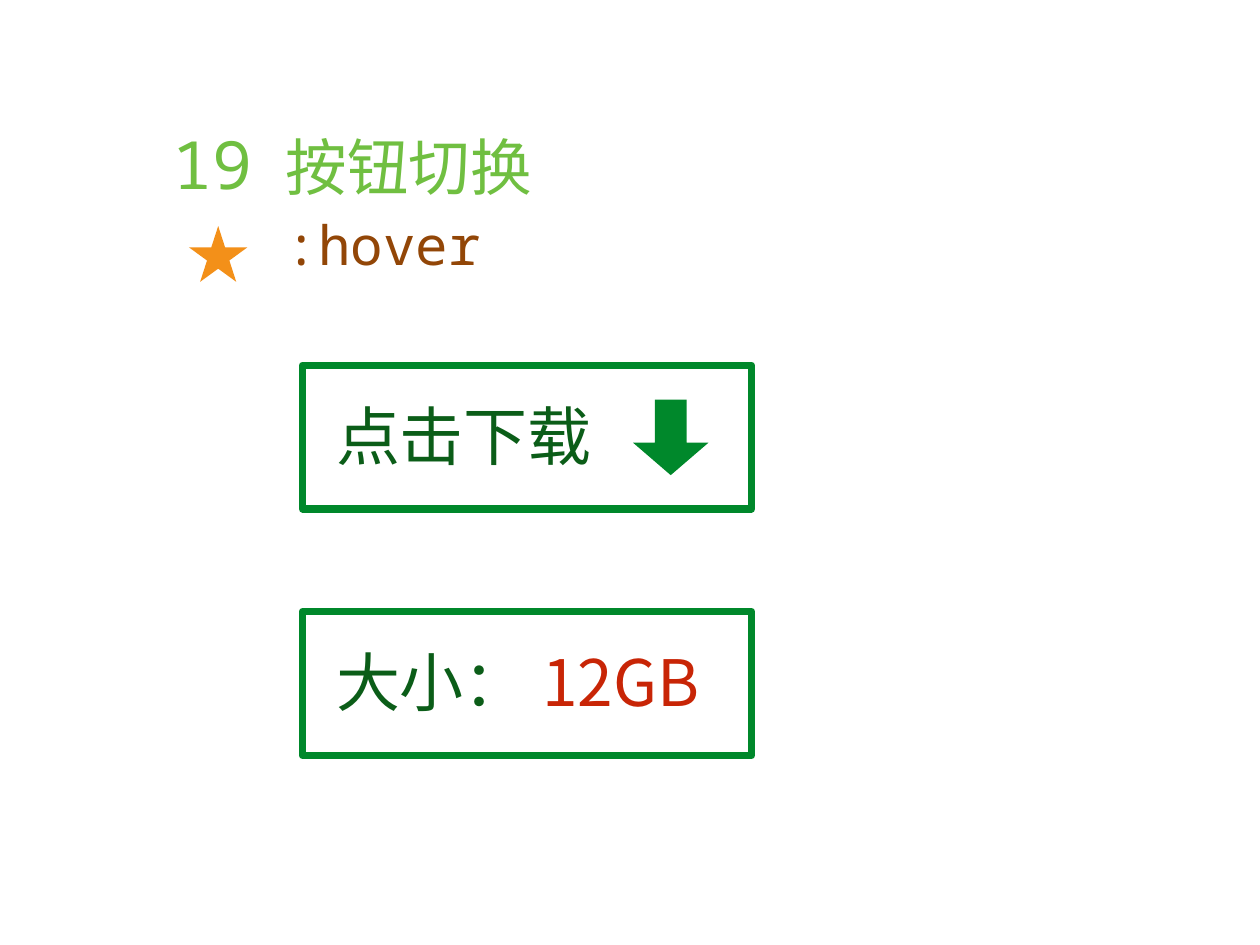
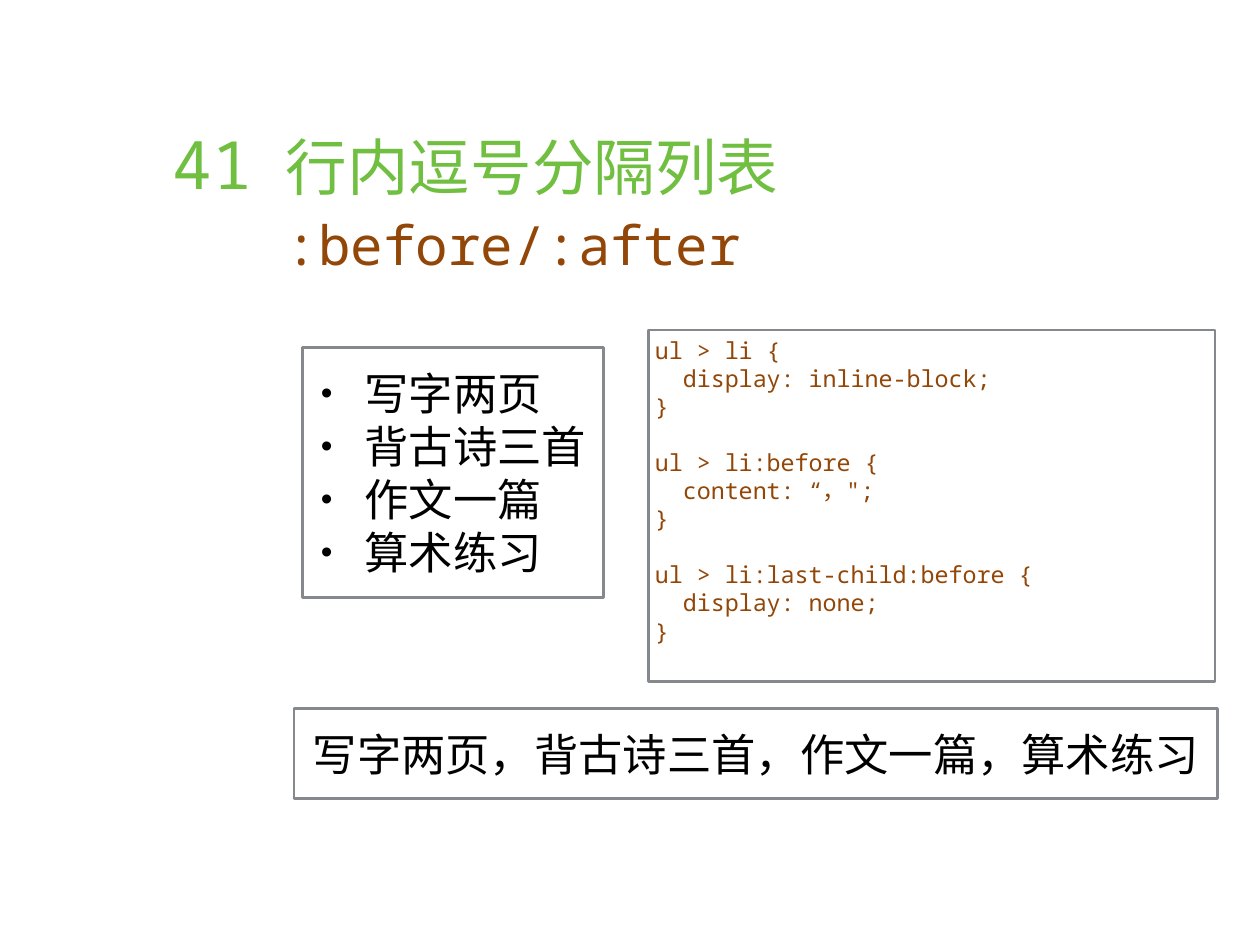
from lxml import etree
from pptx import Presentation
from pptx.dml.color import RGBColor
from pptx.enum.shapes import MSO_SHAPE
from pptx.enum.text import MSO_ANCHOR, PP_ALIGN
from pptx.oxml.ns import qn
from pptx.util import Inches, Pt

RECT, STAR, DOWN_ARROW = MSO_SHAPE.RECTANGLE, MSO_SHAPE.STAR_5_POINT, MSO_SHAPE.DOWN_ARROW
TOP, MIDDLE = MSO_ANCHOR.TOP, MSO_ANCHOR.MIDDLE
LEFT, RIGHT = PP_ALIGN.LEFT, PP_ALIGN.RIGHT

COLORS = {
    "title": "70BF41", "code": "924607", "button": "00882B", "label": "0B5D18",
    "size": "C82506", "star": "F39019", "frame": "85888D", "text": "000000",
}
MONO, CJK, SANS = "Noto Sans Mono", "Noto Sans CJK SC", "Arial"
LINE_RATIO = 1.2  # line height of framed text, as a multiple of its size

PAGE = (0, 0, Inches(14.22), Inches(10.66))
CODE_RULES = [
    ("ul > li", "display: inline-block;"),
    ("ul > li:before", "content: “，\";"),
    ("ul > li:last-child:before", "display: none;"),
]
TASKS = ["写字两页", "背古诗三首", "作文一篇", "算术练习"]


def inside(box, left, top, width, height):
    """Return a box given in percent of an outer box."""
    x, y, w, h = box
    return (int(x + w * left / 100), int(y + h * top / 100),
            int(w * width / 100), int(h * height / 100))


def rgb(color):
    return RGBColor.from_string(COLORS[color])


def style(paragraph, font, size, color, align=LEFT):
    paragraph.alignment = align
    for run in paragraph.runs:
        run.font.name, run.font.size = font, Pt(size)
        run.font.color.rgb = rgb(color)
        east_asian = etree.SubElement(run.font._element, qn("a:ea"))
        east_asian.set("typeface", CJK if font == MONO else font)


def add_solid(slide, preset, box, color):
    shape = slide.shapes.add_shape(preset, *box)
    shape.shadow.inherit = False
    shape.fill.solid()
    shape.fill.fore_color.rgb = rgb(color)
    shape.line.fill.background()
    return shape


def add_frame(slide, box, color, weight, inset, anchor=MIDDLE, wrap=False):
    """Add an outlined box and return its text frame."""
    shape = slide.shapes.add_shape(RECT, *box)
    shape.shadow.inherit = False
    shape.fill.background()
    shape.line.color.rgb = rgb(color)
    shape.line.width = Pt(weight)
    frame = shape.text_frame
    frame.margin_left = frame.margin_right = Inches(inset)
    frame.margin_top = frame.margin_bottom = Inches(inset)
    frame.vertical_anchor, frame.word_wrap = anchor, wrap
    return frame


def add_lines(frame, lines, font, size, color):
    frame.text = "\n".join(lines)
    for paragraph in frame.paragraphs:
        paragraph.line_spacing = Pt(size * LINE_RATIO)
        style(paragraph, font, size, color)


def add_bullet(paragraph):
    properties = paragraph._p.get_or_add_pPr()
    indent = Inches(0.49)
    properties.set("marL", str(indent))
    properties.set("indent", str(-indent))
    bullet_color = etree.SubElement(properties, qn("a:buClr"))
    etree.SubElement(bullet_color, qn("a:srgbClr")).set("val", COLORS["text"])
    for tag, key, value in (("a:buSzPct", "val", "75000"),
                            ("a:buFont", "typeface", SANS),
                            ("a:buChar", "char", "•")):
        etree.SubElement(properties, qn(tag)).set(key, value)


def add_heading(slide, box, number, title, selector):
    """Number column and topic column of the page table."""
    table = slide.shapes.add_table(1, 2, *box).table
    table.first_row = table.horz_banding = False
    table.columns[0].width = int(box[2] * 0.15)
    table.columns[1].width = box[2] - table.columns[0].width
    number_cell, topic_cell = table.cell(0, 0), table.cell(0, 1)
    for cell in (number_cell, topic_cell):
        cell.fill.background()
        cell.margin_left = cell.margin_right = Inches(0.19)
    number_cell.text = number
    topic_cell.text = f"{title}\n{selector}"
    style(number_cell.text_frame.paragraphs[0], MONO, 54, "title", RIGHT)
    title_line, selector_line = topic_cell.text_frame.paragraphs
    style(title_line, CJK, 50, "title")
    style(selector_line, MONO, 44, "code")


def add_button(slide, box, label, value=""):
    frame = add_frame(slide, box, "button", 6, 0.38, wrap=True)
    frame.margin_top, frame.margin_bottom = 0, Inches(0.06)
    paragraph = frame.paragraphs[0]
    for part in filter(None, (label, value)):
        paragraph.add_run().text = part
    style(paragraph, CJK, 52, "label")
    if value:
        paragraph.runs[-1].font.color.rgb = rgb("size")


def add_task_list(slide, box):
    frame = add_frame(slide, box, "frame", 2, 0.21)
    add_lines(frame, TASKS, SANS, 36, "text")
    for paragraph in frame.paragraphs:
        add_bullet(paragraph)


def add_inline_list(slide, box):
    frame = add_frame(slide, box, "frame", 2, 0.21)
    add_lines(frame, ["，".join(TASKS)], SANS, 36, "text")


def add_code(slide, box):
    size = 19
    frame = add_frame(slide, box, "frame", 2, 0.07, TOP, wrap=True)
    lines = [line for selector, rule in CODE_RULES
             for line in (selector + " {", "  " + rule, "}")]
    add_lines(frame, lines, MONO, size, "code")
    # One line of space ahead of each further rule
    for paragraph in frame.paragraphs[3::3]:
        paragraph.space_before = Pt(size * LINE_RATIO)


def add_topic_slide(deck, number, title, selector):
    slide = deck.slides.add_slide(deck.slide_layouts[6])
    add_heading(slide, inside(PAGE, 9.07, 12.1, 81.93, 75.8), number, title, selector)
    return slide


def build_button_slide(deck):
    slide = add_topic_slide(deck, "19", "按钮切换", ":hover")
    download, size = (inside(PAGE, 24, top, 35.65, 15.2) for top in (38.65, 64.73))
    add_button(slide, download, "点击下载")
    arrow = add_solid(slide, DOWN_ARROW, inside(download, 73.6, 24, 16.8, 52.5), "button")
    arrow.adjustments[0], arrow.adjustments[1] = 0.42, 0.43
    add_button(slide, size, "大小： ", "12GB")
    add_solid(slide, STAR, inside(PAGE, 15, 23.92, 4.64, 5.91), "star")


def build_list_slide(deck):
    slide = add_topic_slide(deck, "41", "行内逗号分隔列表", ":before/:after")
    add_task_list(slide, inside(PAGE, 24, 36.77, 23.91, 26.45))
    add_inline_list(slide, inside(PAGE, 23.35, 74.95, 73.28, 9.57))
    add_code(slide, inside(PAGE, 51.48, 34.9, 44.94, 37.24))


def main():
    deck = Presentation()
    deck.slide_width, deck.slide_height = PAGE[2:]
    build_button_slide(deck)
    build_list_slide(deck)
    deck.save("out.pptx")


if __name__ == "__main__":
    main()
